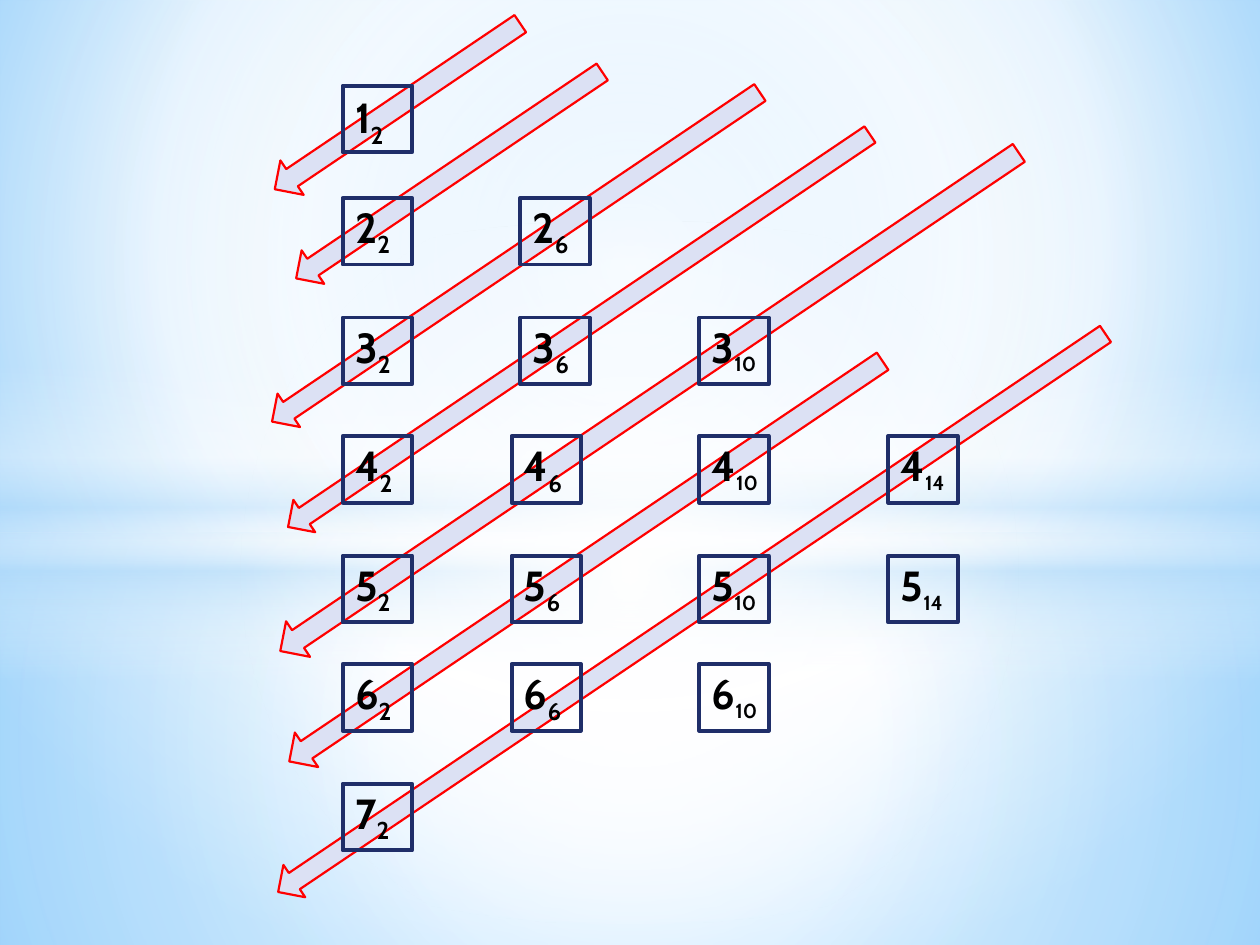
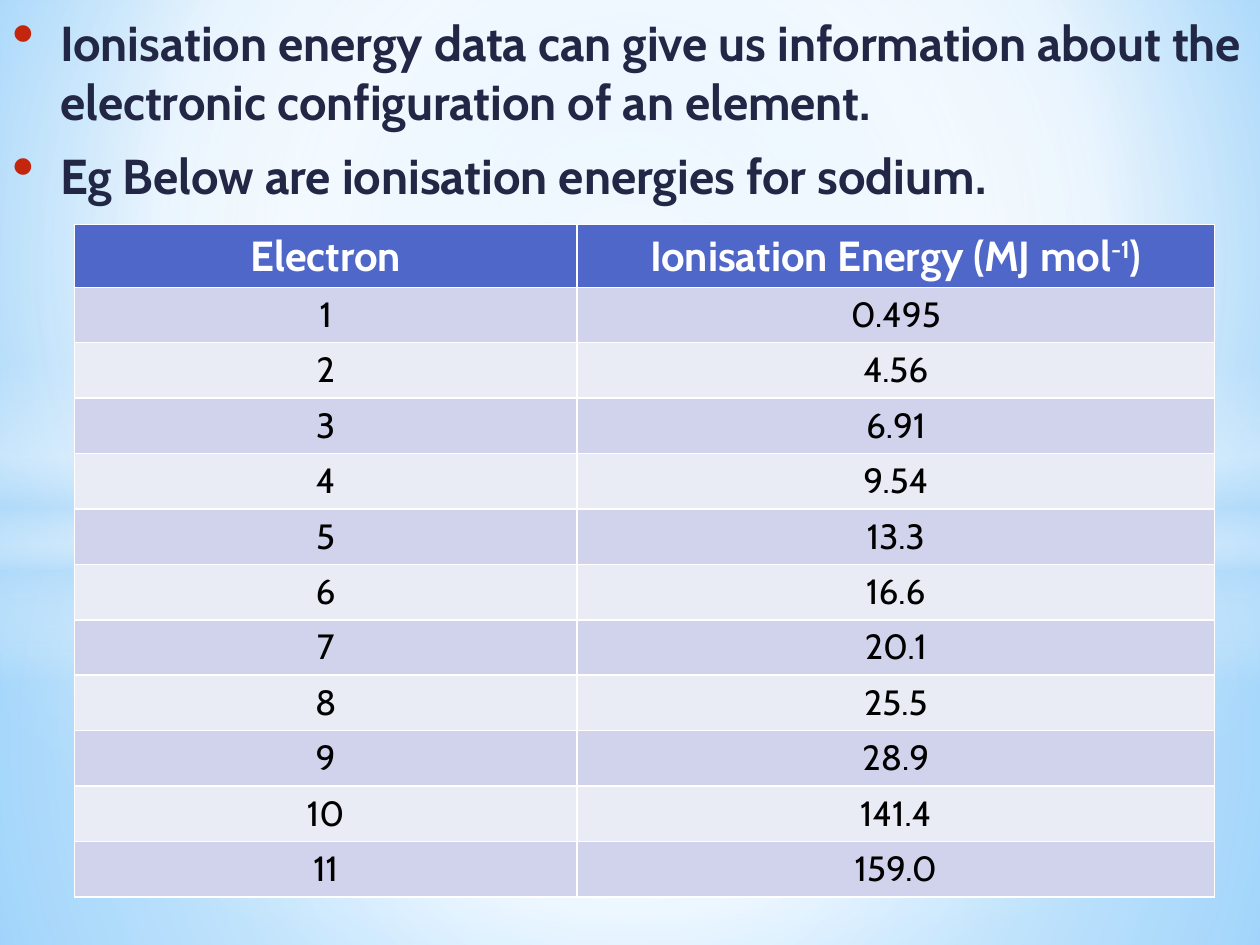
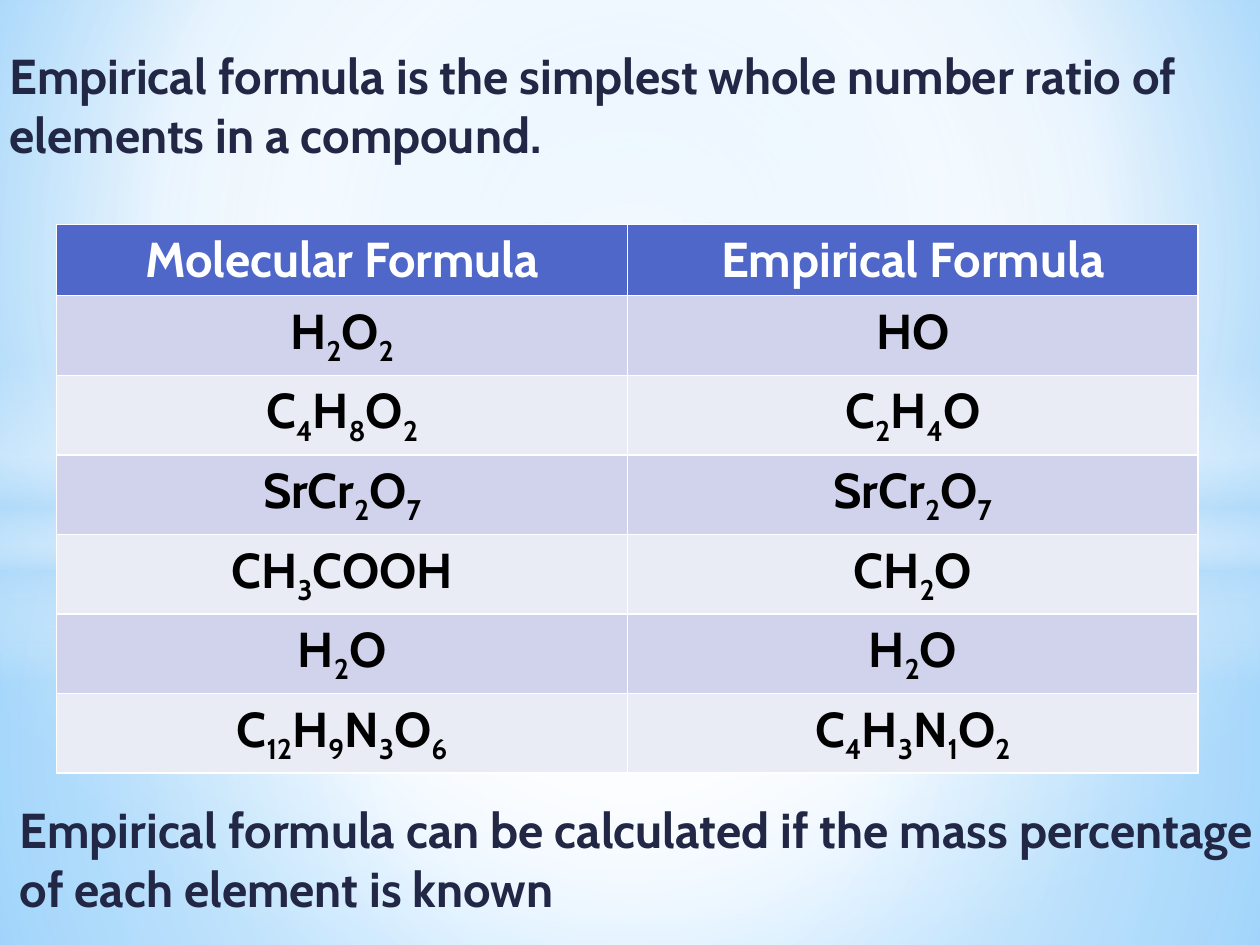
from itertools import groupby

from lxml import etree
from pptx import Presentation
from pptx import util as u
from pptx.dml.color import RGBColor
from pptx.enum import shapes, text
from pptx.oxml.ns import qn

UNIT = u.Inches(0.1)
COLUMNS, ROWS = 100, 75
FONT = "Cabin"

WHITE = RGBColor(0xFF, 0xFF, 0xFF)
BLACK = RGBColor(0x00, 0x00, 0x00)
INK = RGBColor(0x21, 0x27, 0x45)
NAVY = RGBColor(0x1F, 0x2E, 0x69)
RED = RGBColor(0xFF, 0x00, 0x00)
BULLET_RED = RGBColor(0xC3, 0x26, 0x0C)
LAVENDER = RGBColor(0xDC, 0xE1, 0xF4)
HEADER_BLUE = RGBColor(0x4E, 0x67, 0xC8)
ROW_TINTS = (RGBColor(0xD0, 0xD3, 0xEB), RGBColor(0xE9, 0xEB, 0xF5))
SKY = RGBColor(0x9E, 0xD5, 0xFF)
DEEP_SKY = RGBColor(0x5B, 0xB9, 0xFF)
MIST = RGBColor(0xB4, 0xDC, 0xFA)

RECT = shapes.MSO_SHAPE.RECTANGLE
CENTRE = (50, 50, 50, 50)
BACKDROP = ((0, SKY, 100), (60, WHITE, 100), (100, DEEP_SKY, 100))
BANDS = (
    (RECT, (0, 42.3, COLUMNS, 32.7),
     ((0, WHITE, 91), (37, WHITE, 76), (100, MIST, 79)), CENTRE),
    (RECT, (0, 0, COLUMNS, 42.3),
     ((0, WHITE, 89), (48, WHITE, 62), (100, MIST, 79)), CENTRE),
    (RECT, (0, 29, COLUMNS, 25),
     ((0, WHITE, 0), (29, WHITE, 30), (45, MIST, 40), (55, WHITE, 26),
      (65, MIST, 60), (100, WHITE, 0)), None),
    (shapes.MSO_SHAPE.OVAL, (0, 17.5, COLUMNS, 55.8),
     ((0, WHITE, 100), (54, WHITE, 0)), CENTRE),
)

ARROWS = (
    (19.8, 6.8, 23.5, 3.3), (21, 12.3, 29.3, 3.2), (17.6, 18.8, 46.7, 3.2),
    (18.1, 24.7, 55.7, 3.1), (16.2, 30.2, 70.7, 3.4),
    (18.1, 42.9, 56.8, 3.3), (15.3, 47.1, 79.2, 3.1),
)
SHELL_TOPS = (6.8, 15.7, 25.2, 34.6, 44.1, 52.7, 62.2)
SUBSHELL_COUNTS = (1, 2, 3, 4, 4, 3, 1)
SUBSHELL_CAPACITIES = (2, 6, 10, 14)
INNER_LEFTS = (27.2, 41.3, 55.5)
OUTER_LEFTS = (27.2, 40.6, 55.5, 70.5)

ENERGIES = ("0.495", "4.56", "6.91", "9.54", "13.3", "16.6", "20.1",
            "25.5", "28.9", "141.4", "159.0")
FORMULAS = (("H2O2", "HO"), ("C4H8O2", "C2H4O"), ("SrCr2O7", "SrCr2O7"),
            ("CH3COOH", "CH2O"), ("H2O", "H2O"),
            ("C12H9N3O6", "C4H3N1O2"))


def grid(*cells):
    """Turn grid columns and rows into slide lengths."""
    return [u.Emu(round(cell * UNIT)) for cell in cells]


def paint_gradient(holder, stops, focus):
    """Replace a plain fill by a round gradient, or a downward one without focus."""
    gradient = etree.Element(qn("a:gradFill"), rotWithShape="1")
    stop_list = etree.SubElement(gradient, qn("a:gsLst"))
    for position, color, opacity in stops:
        stop = etree.SubElement(stop_list, qn("a:gs"), pos=str(position * 1000))
        tint = etree.SubElement(stop, qn("a:srgbClr"), val=str(color))
        if opacity < 100:
            etree.SubElement(tint, qn("a:alpha"), val=str(opacity * 1000))
    if focus:
        path = etree.SubElement(gradient, qn("a:path"))
        path.set("path", "circle")
        sides = {side: str(share * 1000) for side, share in zip("ltrb", focus)}
        etree.SubElement(path, qn("a:fillToRect"), sides)
    else:
        etree.SubElement(gradient, qn("a:lin"), ang="5400000", scaled="0")
    holder.replace(holder.find(qn("a:solidFill")), gradient)


def decorate_master(master, slide):
    """Give the master its backdrop and the light bands shared by all slides."""
    master.background.fill.solid()
    paint_gradient(master.element.find(".//" + qn("p:bgPr")), BACKDROP,
                   (20, 10, 20, 60))
    for number, (kind, frame, stops, focus) in enumerate(BANDS, 20):
        band = slide.shapes.add_shape(kind, *grid(*frame))
        band.shadow.inherit = False
        band.line.fill.background()
        band.fill.solid()
        paint_gradient(band.element.spPr, stops, focus)
        band.element.nvSpPr.cNvPr.set("id", str(number))
        master.shapes.element.append(band.element)


def style_font(paragraph, size, color, bold=True):
    """Set the shared typeface with a size, colour and weight."""
    font = paragraph.font
    font.name, font.size, font.bold = FONT, u.Pt(size), bold
    font.color.rgb = color


def write_pieces(paragraph, pieces):
    """Add runs, each raised or lowered by a percentage."""
    for words, baseline in pieces:
        run = paragraph.add_run()
        run.text = words
        if baseline:
            run._r.get_or_add_rPr().set("baseline", str(baseline * 1000))


def formula(symbols):
    """Split a chemical formula into letters and lowered digits."""
    return [("".join(group), -25 if is_digit else 0)
            for is_digit, group in groupby(symbols, str.isdigit)]


def add_bullet(paragraph):
    """Give a paragraph a hanging red bullet."""
    properties = paragraph._p.get_or_add_pPr()
    indent = u.Inches(0.38)
    properties.set("marL", str(indent))
    properties.set("indent", str(-indent))
    color = etree.SubElement(properties, qn("a:buClr"))
    etree.SubElement(color, qn("a:srgbClr"), val=str(BULLET_RED))
    etree.SubElement(properties, qn("a:buSzPct"), val="130000")
    etree.SubElement(properties, qn("a:buChar"), char="•")


def add_statements(slide, frame, statements, bulleted=False):
    """Add a box of large bold statements."""
    text_frame = slide.shapes.add_textbox(*grid(*frame)).text_frame
    text_frame.word_wrap = True
    for index, statement in enumerate(statements):
        paragraph = text_frame.add_paragraph() if index else text_frame.paragraphs[0]
        paragraph.text = statement
        if bulleted:
            add_bullet(paragraph)
        if index:
            paragraph.space_before = u.Pt(5.6)
        paragraph.space_after = u.Pt(3)
        style_font(paragraph, 28, INK)


def add_filling_arrow(slide, frame):
    """Add a slanted arrow showing the filling order."""
    arrow = slide.shapes.add_shape(shapes.MSO_SHAPE.RIGHT_ARROW, *grid(*frame))
    arrow.rotation = 146
    arrow.shadow.inherit = False
    arrow.fill.solid()
    arrow.fill.fore_color.rgb = LAVENDER
    arrow.line.color.rgb = RED
    arrow.line.width = u.Pt(1.25)


def add_subshell(slide, left, top, shell, capacity):
    """Add a framed shell number with its capacity as subscript."""
    group = slide.shapes.add_group_shape()
    box = group.shapes.add_shape(RECT, *grid(left, top, 5.5, 5.3))
    box.shadow.inherit = False
    box.fill.background()
    box.line.color.rgb = NAVY
    box.line.width = u.Pt(2.25)
    lift = 0.2 if shell > 1 else 0
    label = group.shapes.add_textbox(*grid(left, top - lift, 7.1, 5))
    label.text_frame.word_wrap = True
    paragraph = label.text_frame.paragraphs[0]
    write_pieces(paragraph, [(str(shell), 0), (str(capacity), -25)])
    style_font(paragraph, 24, BLACK)
    if capacity >= 10:
        paragraph.runs[1].font.size = u.Pt(20)


def add_data_table(slide, corner, widths, heights, sizes, rows, bold_body):
    """Add a centred table with a blue header and alternating tints."""
    header_height, body_height = heights
    total = header_height + body_height * (len(rows) - 1)
    frame = grid(*corner, sum(widths), total)
    table = slide.shapes.add_table(len(rows), len(widths), *frame).table
    for column, width in zip(table.columns, grid(*widths)):
        column.width = width
    for index, row in enumerate(rows):
        is_header = index == 0
        table.rows[index].height = grid(header_height if is_header else body_height)[0]
        for column, pieces in enumerate(row):
            cell = table.cell(index, column)
            cell.fill.solid()
            cell.fill.fore_color.rgb = (
                HEADER_BLUE if is_header else ROW_TINTS[(index - 1) % 2])
            paragraph = cell.text_frame.paragraphs[0]
            paragraph.alignment = text.PP_ALIGN.CENTER
            write_pieces(paragraph, pieces)
            if is_header:
                style_font(paragraph, sizes[0], WHITE)
            else:
                style_font(paragraph, sizes[1], BLACK, bold_body)


def fill_subshell_slide(slide):
    """Draw the filling order of the subshells."""
    for frame in ARROWS:
        add_filling_arrow(slide, frame)
    levels = zip(SHELL_TOPS, SUBSHELL_COUNTS)
    for shell, (top, count) in enumerate(levels, 1):
        lefts = INNER_LEFTS if shell <= 3 else OUTER_LEFTS
        for left, capacity in zip(lefts[:count], SUBSHELL_CAPACITIES):
            add_subshell(slide, left, top, shell, capacity)


def fill_energy_slide(slide):
    """List the ionisation energies of sodium."""
    add_statements(slide, (0, 0.5, COLUMNS, ROWS - 0.5), (
        "Ionisation energy data can give us information about the "
        "electronic configuration of an element.",
        "Eg Below are ionisation energies for sodium."), bulleted=True)
    heading = [[("Electron", 0)],
               [("Ionisation Energy (MJ mol", 0), ("-1", 30), (")", 0)]]
    rows = [[[(str(electron), 0)], [(energy, 0)]]
            for electron, energy in enumerate(ENERGIES, 1)]
    add_data_table(slide, (5.9, 17.8), (39.9, 50.6), (5, 4.4), (24, 20),
                   [heading] + rows, bold_body=False)


def fill_formula_slide(slide):
    """Compare molecular with empirical formulas."""
    add_statements(slide, (-0.2, 3.1, COLUMNS, 12.3), (
        "Empirical formula is the simplest whole number ratio of "
        "elements in a compound.",))
    heading = [[("Molecular Formula", 0)], [("Empirical Formula", 0)]]
    rows = [[formula(symbols) for symbols in pair] for pair in FORMULAS]
    add_data_table(slide, (4.5, 17.8), (45.3, 45.3), (5.6, 6.3), (28, 28),
                   [heading] + rows, bold_body=True)
    add_statements(slide, (0.6, 63, COLUMNS, 12.3), (
        "Empirical formula can be calculated if the mass percentage "
        "of each element is known",))


def main():
    """Build and save the presentation."""
    presentation = Presentation()
    presentation.slide_width, presentation.slide_height = grid(COLUMNS, ROWS)
    fillers = (fill_subshell_slide, fill_energy_slide, fill_formula_slide)
    blank = presentation.slide_layouts[6]
    slides = [presentation.slides.add_slide(blank) for _ in fillers]
    decorate_master(presentation.slide_master, slides[0])
    for slide, fill in zip(slides, fillers):
        fill(slide)
    presentation.save("out.pptx")


if __name__ == "__main__":
    main()
